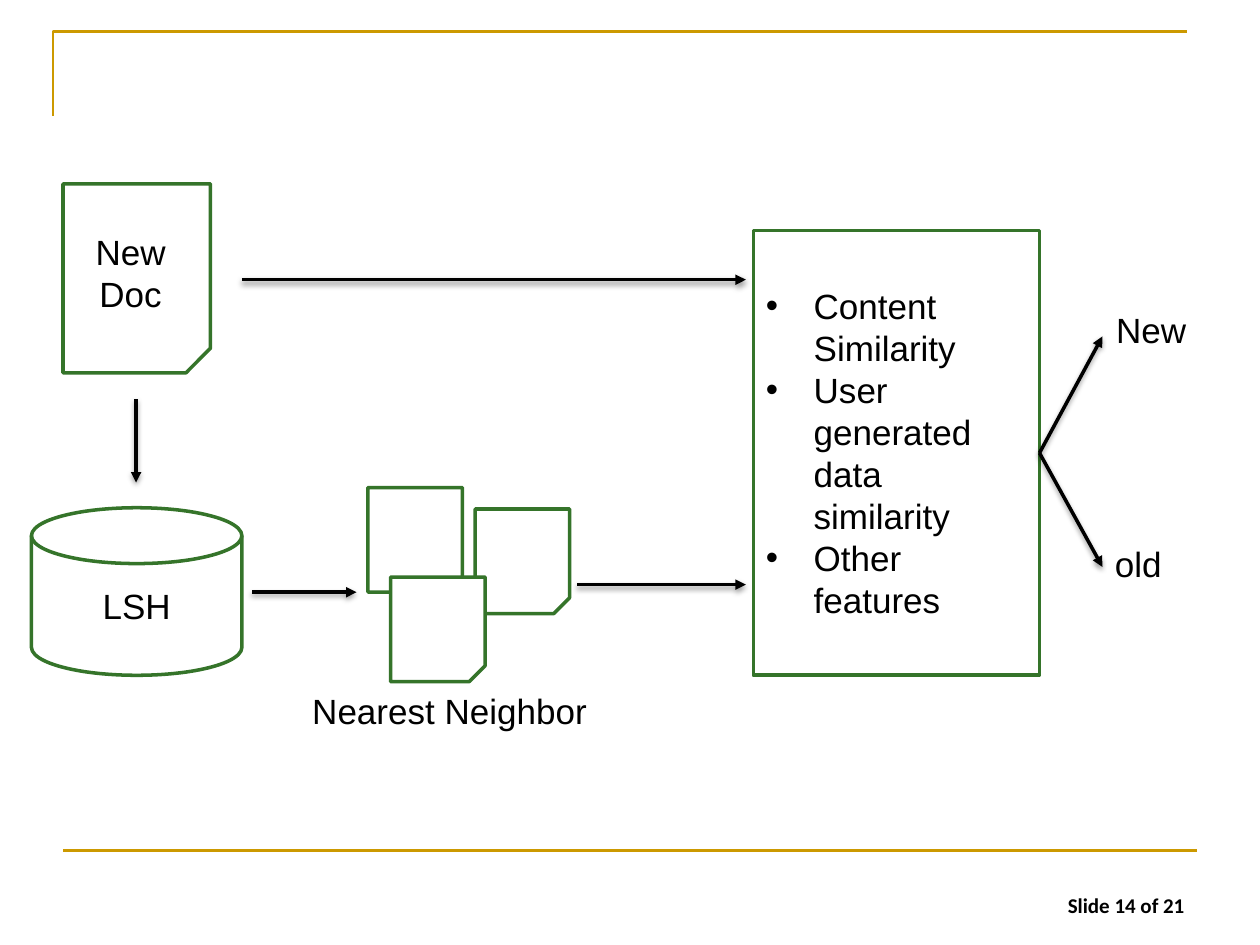
from dataclasses import dataclass

from lxml import etree
from pptx import Presentation
from pptx.dml.color import RGBColor
from pptx.enum.shapes import MSO_CONNECTOR, MSO_SHAPE
from pptx.enum.text import MSO_ANCHOR as Anchor, PP_ALIGN as Align
from pptx.oxml import parse_xml
from pptx.oxml.ns import nsdecls, qn
from pptx.util import Inches, Pt


@dataclass(frozen=True)
class Theme:
    ink: RGBColor = RGBColor(0x00, 0x00, 0x00)
    paper: RGBColor = RGBColor(0xFF, 0xFF, 0xFF)
    green: RGBColor = RGBColor(0x35, 0x74, 0x2A)
    gold: RGBColor = RGBColor(0xCC, 0x99, 0x00)
    body_font: str = "Arial"
    footer_font: str = "Calibri"
    body_size: Pt = Pt(20)
    footer_size: Pt = Pt(12)
    rule_width: Pt = Pt(1.5)
    line_width: Pt = Pt(2)


THEME = Theme()
SHADOW = (
    f'<a:effectLst {nsdecls("a")}>'
    f'<a:outerShdw blurRad="{Pt(3.1)}" dist="{Pt(1.6)}" dir="5400000" rotWithShape="0">'
    '<a:srgbClr val="000000"><a:alpha val="38000"/></a:srgbClr>'
    '</a:outerShdw></a:effectLst>'
)


def set_line(shape, color, width):
    shape.line.color.rgb = color
    shape.line.width = width


def write(para, text, align=Align.LEFT, size=THEME.body_size,
          font=THEME.body_font, bold=False):
    para.alignment = align
    span = para.add_run()
    span.text = text
    span.font.size = size
    span.font.name = font
    span.font.bold = bold
    span.font.color.rgb = THEME.ink


def add_label(page, text, left, top, width, height, anchor=Anchor.TOP, **style):
    box = page.shapes.add_textbox(*map(Inches, (left, top, width, height)))
    box.text_frame.word_wrap = True
    box.text_frame.vertical_anchor = anchor
    write(box.text_frame.paragraphs[0], text, **style)


def add_node(page, kind, left, top, width, height, text=None):
    node = page.shapes.add_shape(kind, *map(Inches, (left, top, width, height)))
    node.shadow.inherit = False
    node.fill.solid()
    node.fill.fore_color.rgb = THEME.paper
    set_line(node, THEME.green, THEME.line_width)
    node.text_frame.vertical_anchor = Anchor.MIDDLE
    if text:
        write(node.text_frame.paragraphs[0], text, Align.CENTER)
    return node


def add_document(page, left, top, width, height, text=None):
    """Sheet with its lower right corner cut: a turned snip rectangle with upright text."""
    shift = (height - width) / 2
    sheet = add_node(page, MSO_SHAPE.SNIP_1_RECTANGLE,
                     left - shift, top + shift, height, width, text)
    sheet.rotation = 90
    sheet.text_frame._txBody.bodyPr.set("vert", "vert270")


def add_bullets(node, items):
    frame = node.text_frame
    for index, item in enumerate(items):
        para = frame.add_paragraph() if index else frame.paragraphs[0]
        write(para, item)
        props = para._p.get_or_add_pPr()
        props.set("marL", str(Inches(0.38)))
        props.set("indent", str(-Inches(0.38)))
        etree.SubElement(props, qn("a:buFont")).set("typeface", THEME.body_font)
        etree.SubElement(props, qn("a:buChar")).set("char", "•")


def add_line(page, start, end, color, width):
    line = page.shapes.add_connector(MSO_CONNECTOR.STRAIGHT, *map(Inches, start + end))
    set_line(line, color, width)
    return line


def add_rule(page, start, end):
    rule = add_line(page, start, end, THEME.gold, THEME.rule_width)
    etree.SubElement(rule._element.spPr, qn("a:effectLst"))


def add_arrow(page, start, end):
    arrow = add_line(page, start, end, THEME.ink, THEME.line_width)
    etree.SubElement(arrow.line._get_or_add_ln(), qn("a:tailEnd")).set("type", "triangle")
    arrow._element.spPr.append(parse_xml(SHADOW))
    return arrow


def add_frame(page):
    """Gold corner above, gold rule and slide count below."""
    builder = page.shapes.build_freeform(Inches(0.42), Inches(0.92))
    builder.add_line_segments(
        [(Inches(0.42), Inches(0.25)), (Inches(9.42), Inches(0.25))], close=False)
    corner = builder.convert_to_shape()
    corner.shadow.inherit = False
    corner.fill.background()
    set_line(corner, THEME.gold, THEME.rule_width)
    add_rule(page, (0.5, 6.75), (9.5, 6.75))
    add_label(page, "Slide 14 of 21", 7.17, 6.83, 2.33, 0.5, Anchor.BOTTOM,
              align=Align.RIGHT, size=THEME.footer_size,
              font=THEME.footer_font, bold=True)


def add_flow(page):
    add_document(page, 0.5, 1.46, 1.17, 1.5, "New Doc")
    add_node(page, MSO_SHAPE.FLOWCHART_MAGNETIC_DISK, 0.25, 4.03, 1.67, 1.33, "LSH")
    for left, top in ((2.92, 3.87), (3.77, 4.04), (3.1, 4.58)):
        add_document(page, left, top, 0.75, 0.83)
    add_label(page, "Nearest Neighbor", 2.38, 5.42, 2.54, 0.44)

    features = add_node(page, MSO_SHAPE.RECTANGLE, 5.98, 1.83, 2.27, 3.53)
    add_bullets(features, ("Content Similarity", "User generated data similarity",
                           "Other features"))

    for start, end in (((1.08, 3.17), (1.08, 3.83)), ((1.92, 2.22), (5.92, 2.22)),
                       ((2, 4.7), (2.83, 4.7)), ((4.58, 4.64), (5.92, 4.64))):
        add_arrow(page, start, end)

    for text, left, top, width, tip in (("New", 8.76, 2.4, 1.24, 2.67),
                                        ("old", 8.75, 4.26, 1.08, 4.5)):
        arrow = add_arrow(page, (8.25, 3.6), (8.75, tip))
        arrow.begin_connect(features, 3)
        add_label(page, text, left, top, width, 0.44)


def main():
    deck = Presentation()
    deck.slide_width, deck.slide_height = Inches(10), Inches(7.5)
    page = deck.slides.add_slide(deck.slide_layouts[6])
    add_frame(page)
    add_flow(page)
    deck.save("out.pptx")


if __name__ == "__main__":
    main()
